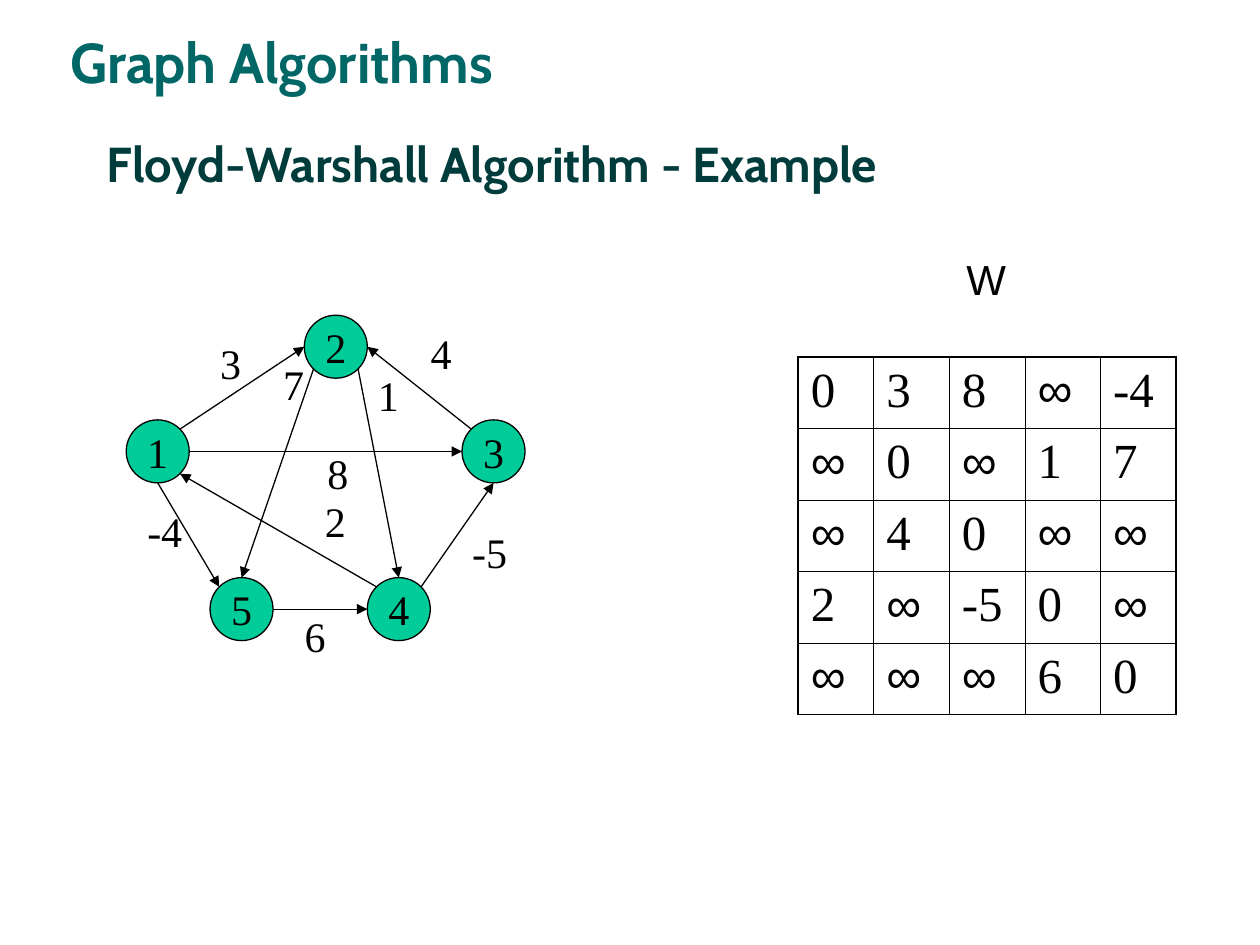
from dataclasses import dataclass
from enum import Enum
from math import sqrt

from lxml import etree
from pptx import Presentation
from pptx.dml.color import RGBColor
from pptx.enum.shapes import MSO_CONNECTOR, MSO_SHAPE
from pptx.enum.text import MSO_ANCHOR, PP_ALIGN
from pptx.oxml.ns import qn
from pptx.util import Cm, Pt

STRAIGHT = MSO_CONNECTOR.STRAIGHT
NODE_SHAPE = MSO_SHAPE.FLOWCHART_CONNECTOR
MIDDLE = MSO_ANCHOR.MIDDLE
LEFT, CENTER = PP_ALIGN.LEFT, PP_ALIGN.CENTER
TITLE_ONLY = 5


@dataclass(frozen=True)
class Theme:
    heading_color: str = "006666"
    title_color: str = "003C3B"
    node_color: str = "00CC99"
    ink: str = "000000"
    title_font: str = "Cabin"
    number_font: str = "Times New Roman"
    symbol_font: str = "Arial"
    heading_size: float = 32
    title_size: float = 28
    graph_size: float = 24
    matrix_size: float = 28
    graph_line: float = 0.75
    grid_line: float = 0.45
    frame_line: float = 1.08


THEME = Theme()
DIAGONAL = sqrt(0.5)


class Site(Enum):
    """Points on a node's rim, as offsets in radii from its centre."""
    TOP = (0, -1)
    BOTTOM = (0, 1)
    LEFT = (-1, 0)
    RIGHT = (1, 0)
    TOP_LEFT = (-DIAGONAL, -DIAGONAL)
    TOP_RIGHT = (DIAGONAL, -DIAGONAL)
    BOTTOM_LEFT = (-DIAGONAL, DIAGONAL)
    BOTTOM_RIGHT = (DIAGONAL, DIAGONAL)


@dataclass(frozen=True)
class Node:
    x: float
    y: float


@dataclass(frozen=True)
class Edge:
    source: int
    source_site: Site
    target: int
    target_site: Site
    weight: str
    label_left: float
    label_top: float


NODE_RADIUS = 0.635
NODES = {
    2: Node(6.77, 6.99),
    4: Node(8.04, 12.28),
    5: Node(4.87, 12.28),
    1: Node(3.18, 9.1),
    3: Node(9.95, 9.1),
}
EDGES = [
    Edge(1, Site.TOP_RIGHT, 2, Site.LEFT, "3", 4.19, 6.68),
    Edge(3, Site.TOP_LEFT, 2, Site.RIGHT, "4", 8.43, 6.48),
    Edge(1, Site.BOTTOM, 5, Site.TOP_LEFT, "-4", 2.72, 10.06),
    Edge(5, Site.RIGHT, 4, Site.LEFT, "6", 5.89, 12.19),
    Edge(4, Site.TOP_RIGHT, 3, Site.BOTTOM, "-5", 9.27, 10.49),
    Edge(4, Site.TOP_LEFT, 1, Site.BOTTOM_RIGHT, "2", 6.3, 9.86),
    Edge(1, Site.RIGHT, 3, Site.LEFT, "8", 6.35, 8.89),
    Edge(2, Site.BOTTOM_LEFT, 5, Site.TOP, "7", 5.46, 7.11),
    Edge(2, Site.BOTTOM_RIGHT, 4, Site.TOP, "1", 7.37, 7.32),
]
WEIGHTS = [row.split() for row in (
    "0 3 8 ∞ -4",
    "∞ 0 ∞ 1 7",
    "∞ 4 0 ∞ ∞",
    "2 ∞ -5 0 ∞",
    "∞ ∞ ∞ 6 0",
)]


def write(frame, text: str, *, size: float, font: str = THEME.number_font,
          color: str = THEME.ink, bold: bool = False, align=LEFT) -> None:
    paragraph = frame.paragraphs[0]
    paragraph.alignment = align
    run = paragraph.add_run()
    run.text = text
    run.font.name = font
    run.font.size = Pt(size)
    run.font.bold = bold
    run.font.color.rgb = RGBColor.from_string(color)


def add_label(slide, text: str, left: float, top: float, width: float,
              height: float = 1.27, **text_format) -> None:
    label = slide.shapes.add_textbox(Cm(left), Cm(top), Cm(width), Cm(height))
    label.text_frame.word_wrap = False
    write(label.text_frame, text, **text_format)


def set_title(slide, text: str) -> None:
    title = slide.shapes.title
    title.left, title.top, title.width, title.height = (
        Cm(1.9), Cm(1.69), Cm(23.5), Cm(3.18))
    title.text_frame.vertical_anchor = MIDDLE
    write(title.text_frame, text, size=THEME.title_size, font=THEME.title_font,
          color=THEME.title_color, bold=True)


def add_node(slide, number: int, node: Node) -> None:
    circle = slide.shapes.add_shape(
        NODE_SHAPE, Cm(node.x - NODE_RADIUS), Cm(node.y - NODE_RADIUS),
        Cm(2 * NODE_RADIUS), Cm(2 * NODE_RADIUS))
    circle.shadow.inherit = False
    circle.fill.solid()
    circle.fill.fore_color.rgb = RGBColor.from_string(THEME.node_color)
    circle.line.color.rgb = RGBColor.from_string(THEME.ink)
    circle.line.width = Pt(THEME.graph_line)
    circle.text_frame.word_wrap = False
    circle.text_frame.vertical_anchor = MIDDLE
    write(circle.text_frame, str(number), size=THEME.graph_size, align=CENTER)


def rim_point(node: Node, site: Site) -> tuple[Cm, Cm]:
    dx, dy = site.value
    return Cm(node.x + dx * NODE_RADIUS), Cm(node.y + dy * NODE_RADIUS)


def add_edge(slide, edge: Edge) -> None:
    arrow = slide.shapes.add_connector(
        STRAIGHT,
        *rim_point(NODES[edge.source], edge.source_site),
        *rim_point(NODES[edge.target], edge.target_site))
    arrow.line.color.rgb = RGBColor.from_string(THEME.ink)
    arrow.line.width = Pt(THEME.graph_line)
    etree.SubElement(arrow.line._get_or_add_ln(), qn("a:tailEnd"), type="triangle")
    etree.SubElement(arrow._element.spPr, qn("a:effectLst"))


def set_borders(cell, **widths: float) -> None:
    """Draw cell sides, given in the order lnL, lnR, lnT, lnB."""
    properties = cell._tc.get_or_add_tcPr()
    for side, width in widths.items():
        border = etree.SubElement(properties, qn(f"a:{side}"), w=str(Pt(width)))
        fill = etree.SubElement(border, qn("a:solidFill"))
        etree.SubElement(fill, qn("a:srgbClr"), val=THEME.ink)


def add_matrix(slide, values: list[list[str]]) -> None:
    last = len(values) - 1
    table = slide.shapes.add_table(len(values), len(values), Cm(16.09), Cm(7.2),
                                   Cm(7.62), Cm(7.2)).table
    table.first_row = table.horz_banding = False
    for row, row_values in enumerate(values):
        for column, value in enumerate(row_values):
            cell = table.cell(row, column)
            on_frame = {"lnL": column == 0, "lnR": column == last,
                        "lnT": row == 0, "lnB": row == last}
            set_borders(cell, **{
                side: THEME.frame_line if outer else THEME.grid_line
                for side, outer in on_frame.items()})
            cell.fill.background()
            write(cell.text_frame, value, size=THEME.matrix_size,
                  font=THEME.symbol_font if value == "∞" else THEME.number_font)


def main() -> None:
    deck = Presentation()
    deck.slide_width, deck.slide_height = Cm(25.4), Cm(19.05)
    slide = deck.slides.add_slide(deck.slide_layouts[TITLE_ONLY])

    add_label(slide, "Graph Algorithms", 1.17, 0.43, 10.57, 1.63,
              size=THEME.heading_size, font=THEME.title_font,
              color=THEME.heading_color, bold=True)
    set_title(slide, "Floyd-Warshall Algorithm - Example")
    for number, node in NODES.items():
        add_node(slide, number, node)
    for edge in EDGES:
        add_edge(slide, edge)
    for edge in EDGES:
        add_label(slide, edge.weight, edge.label_left, edge.label_top,
                  0.6 + 0.31 * len(edge.weight), size=THEME.graph_size)
    add_matrix(slide, WEIGHTS)
    add_label(slide, "W", 19.23, 4.98, 1.3, size=THEME.graph_size,
              font=THEME.symbol_font)
    deck.save("out.pptx")


if __name__ == "__main__":
    main()
